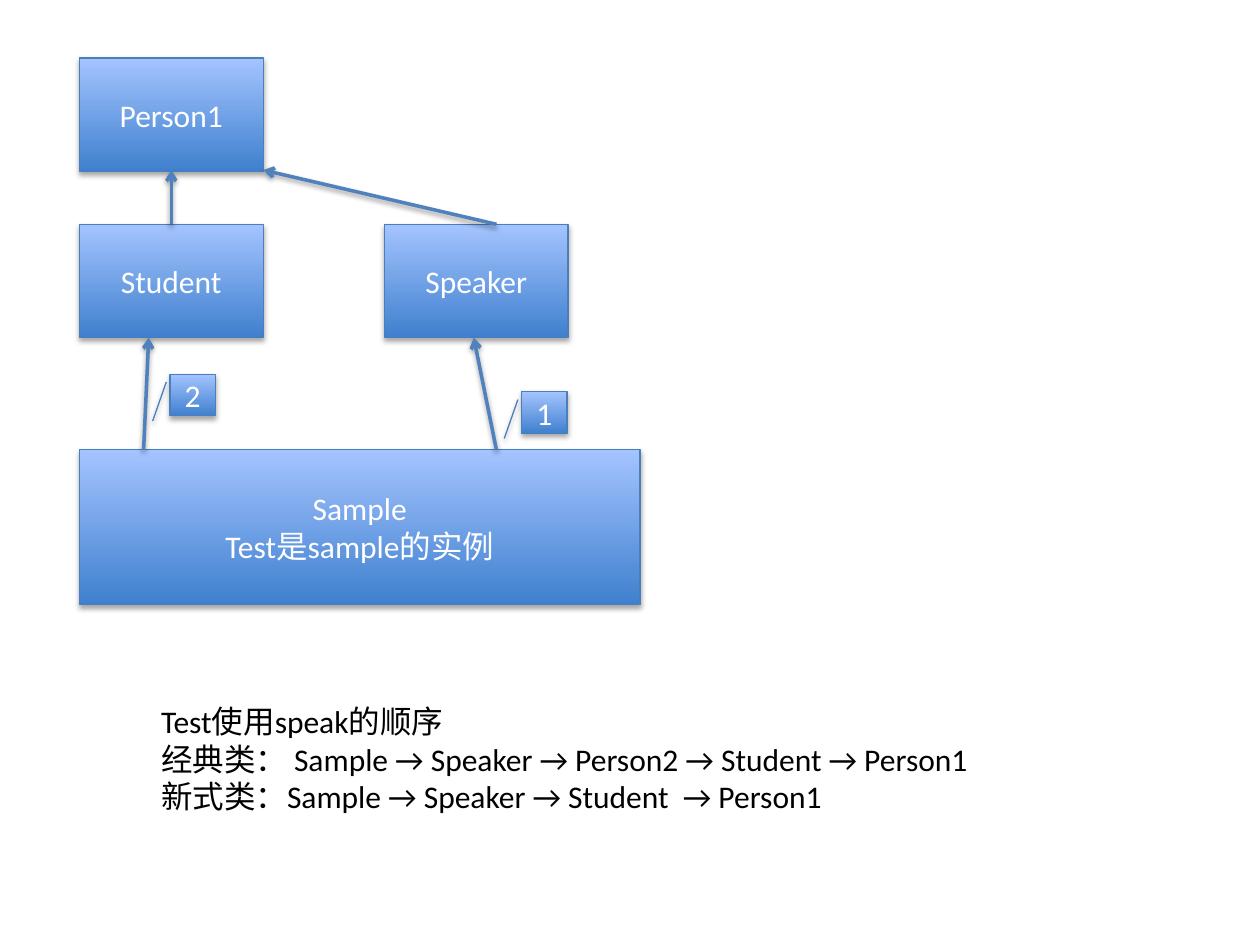
from pptx import Presentation
from pptx.dml.color import RGBColor
from pptx.enum.shapes import MSO_CONNECTOR, MSO_SHAPE
from pptx.enum.text import MSO_ANCHOR, MSO_AUTO_SIZE, PP_ALIGN
from pptx.oxml import parse_xml
from pptx.oxml.ns import nsdecls
from pptx.util import Inches, Pt

WHITE = RGBColor(0xFF, 0xFF, 0xFF)
BLACK = RGBColor(0x00, 0x00, 0x00)
BOX_BOTTOM = RGBColor(0x3F, 0x80, 0xCE)
BOX_TOP = RGBColor(0xA4, 0xC4, 0xFF)
BOX_LINE = RGBColor(0x4B, 0x7E, 0xBC)
ARROW_BLUE = RGBColor(0x4F, 0x81, 0xBD)


def add_shadow(shape, distance, opacity):
    shape._element.spPr.append(parse_xml(
        f'<a:effectLst {nsdecls("a")}><a:outerShdw blurRad="{Pt(3.1)}" '
        f'dist="{Pt(distance)}" dir="5400000" rotWithShape="0">'
        f'<a:srgbClr val="000000"><a:alpha val="{opacity * 1000}"/></a:srgbClr>'
        f'</a:outerShdw></a:effectLst>'))


def write_lines(frame, lines, color, alignment):
    for index, line in enumerate(lines):
        para = frame.paragraphs[0] if index == 0 else frame.add_paragraph()
        para.alignment = alignment
        span = para.add_run()
        span.text = line
        span.font.name = "Calibri"
        span.font.size = Pt(18)
        span.font.color.rgb = color


deck = Presentation()
deck.slide_width, deck.slide_height = Inches(10), Inches(7.5)
page = deck.slides.add_slide(deck.slide_layouts[6])

# Class boxes and numbered callouts
CLASS_SIZE = (1.46, 0.9)
NUMBER_SIZE = (0.36, 0.33)
boxes = [
    (MSO_SHAPE.RECTANGLE, 0.63, 0.46, CLASS_SIZE, ["Person1"]),
    (MSO_SHAPE.RECTANGLE, 0.63, 1.78, CLASS_SIZE, ["Student"]),
    (MSO_SHAPE.RECTANGLE, 3.05, 1.78, CLASS_SIZE, ["Speaker"]),
    (MSO_SHAPE.RECTANGLE, 0.63, 3.57, (4.45, 1.23), ["Sample", "Test是sample的实例"]),
    (MSO_SHAPE.LINE_CALLOUT_1, 4.14, 3.11, NUMBER_SIZE, ["1"]),
    (MSO_SHAPE.LINE_CALLOUT_1, 1.35, 2.97, NUMBER_SIZE, ["2"]),
]
for kind, left, top, (width, height), lines in boxes:
    box = page.shapes.add_shape(
        kind, Inches(left), Inches(top), Inches(width), Inches(height))
    box.fill.gradient()
    box.fill.gradient_angle = 90
    for stop, color, position in zip(
            box.fill.gradient_stops, (BOX_BOTTOM, BOX_TOP), (0, 1)):
        stop.color.rgb = color
        stop.position = position
    box.line.color.rgb = BOX_LINE
    box.line.width = Pt(0.75)
    add_shadow(box, 1.8, 35)
    box.text_frame.vertical_anchor = MSO_ANCHOR.MIDDLE
    write_lines(box.text_frame, lines, WHITE, PP_ALIGN.CENTER)

# Inheritance arrows, from child to parent
arrows = [
    (1.36, 1.78, 1.36, 1.35),
    (3.94, 1.78, 2.09, 1.35),
    (3.94, 3.57, 3.76, 2.68),
    (1.14, 3.57, 1.18, 2.68),
]
for ends in arrows:
    arrow = page.shapes.add_connector(
        MSO_CONNECTOR.STRAIGHT, *[Inches(value) for value in ends])
    arrow.line.color.rgb = ARROW_BLUE
    arrow.line.width = Pt(2)
    arrow.line._get_or_add_ln().append(
        parse_xml(f'<a:tailEnd {nsdecls("a")} type="arrow"/>'))
    add_shadow(arrow, 1.6, 38)

# Lookup order
note = page.shapes.add_textbox(Inches(1.18), Inches(5.52), Inches(6.84), Inches(1.01))
note.text_frame.word_wrap = False
note.text_frame.auto_size = MSO_AUTO_SIZE.SHAPE_TO_FIT_TEXT
write_lines(note.text_frame, [
    "Test使用speak的顺序",
    "经典类： Sample → Speaker → Person2 → Student → Person1",
    "新式类：Sample → Speaker → Student  → Person1",
], BLACK, PP_ALIGN.LEFT)

deck.save("out.pptx")
